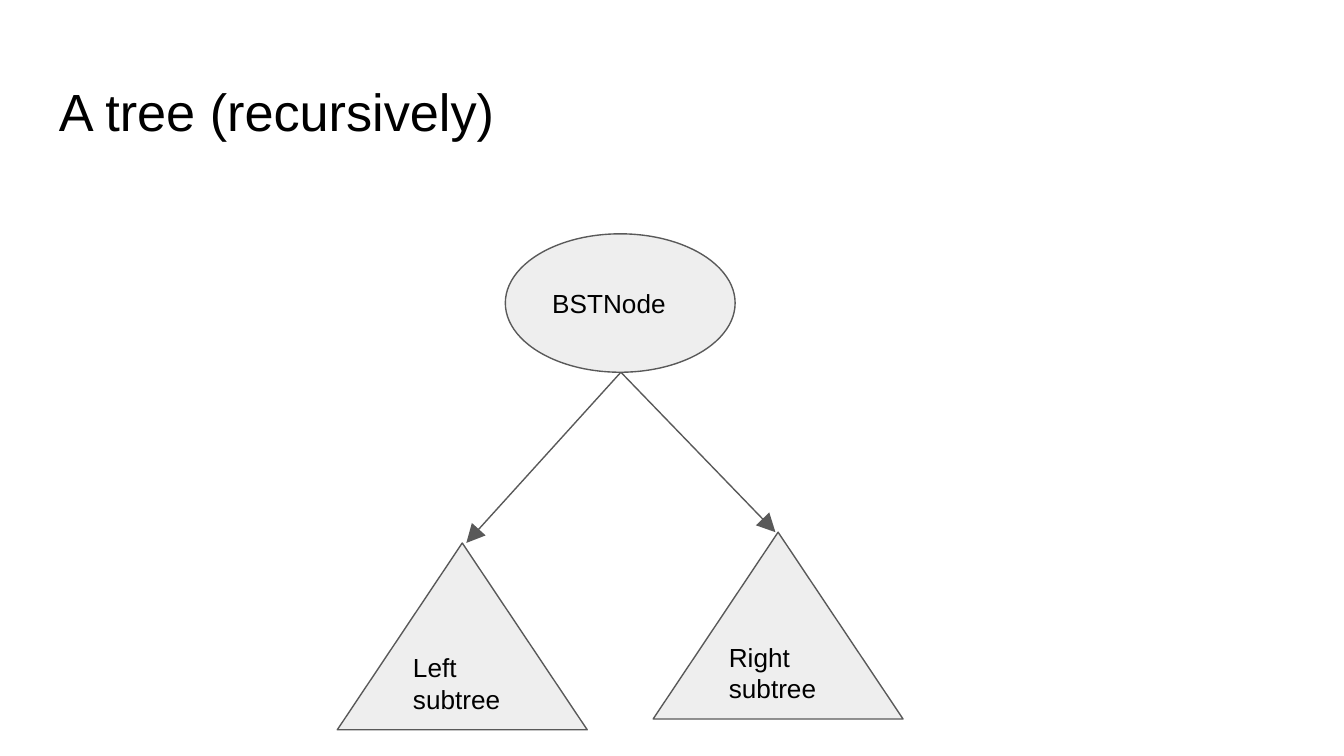
from pptx import Presentation
from pptx.dml.color import RGBColor
from pptx.enum.shapes import MSO_CONNECTOR as LINE, MSO_SHAPE as KIND
from pptx.enum.text import MSO_ANCHOR as ANCHOR, PP_ALIGN as ALIGN
from pptx.oxml.ns import qn
from pptx.util import Inches, Pt
from lxml.etree import SubElement

BLACK = RGBColor(0x00, 0x00, 0x00)
GRAY = RGBColor(0x59, 0x59, 0x59)
PALE = RGBColor(0xEE, 0xEE, 0xEE)


def write(shape, text, size, anchor):
    frame = shape.text_frame
    frame.text = text
    frame.word_wrap = True
    frame.vertical_anchor = anchor
    frame.margin_left = frame.margin_right = Inches(0.1)
    frame.margin_top = frame.margin_bottom = Inches(0.1)
    line = frame.paragraphs[0]
    line.alignment = ALIGN.LEFT
    font = line.runs[0].font
    font.name = "Arial"
    font.size = Pt(size)
    font.color.rgb = BLACK


def outline(item):
    item.line.color.rgb = GRAY
    item.line.width = Pt(0.75)


# Wide slide, 16 to 9
deck = Presentation()
deck.slide_width = Inches(10)
deck.slide_height = Inches(10 * 9 / 16)
slide = deck.slides.add_slide(deck.slide_layouts[6])
shapes = slide.shapes

# Title
title = shapes.add_textbox(Inches(0.34), Inches(0.49), Inches(9.32), Inches(0.63))
write(title, "A tree (recursively)", 28, ANCHOR.TOP)

# Arrows from the foot of the root
for x, y in [(3.47, 4.04), (5.77, 3.96)]:
    arrow = shapes.add_connector(
        LINE.STRAIGHT, Inches(4.62), Inches(2.77), Inches(x), Inches(y))
    outline(arrow)
    SubElement(arrow.line._get_or_add_ln(), qn("a:tailEnd"),
               type="triangle", w="lg", len="lg")
    SubElement(arrow._element.spPr, qn("a:effectLst"))

# Root and its two subtrees
nodes = [
    (KIND.OVAL, "BSTNode", 3.76, 1.74, 1.71, 1.03),
    (KIND.ISOSCELES_TRIANGLE, "Left subtree", 2.51, 4.04, 1.86, 1.39),
    (KIND.ISOSCELES_TRIANGLE, "Right subtree", 4.86, 3.96, 1.86, 1.39),
]
for kind, text, *box in nodes:
    node = shapes.add_shape(kind, *[Inches(n) for n in box])
    node.shadow.inherit = False
    node.fill.solid()
    node.fill.fore_color.rgb = PALE
    outline(node)
    write(node, text, 14, ANCHOR.MIDDLE)

deck.save("out.pptx")
